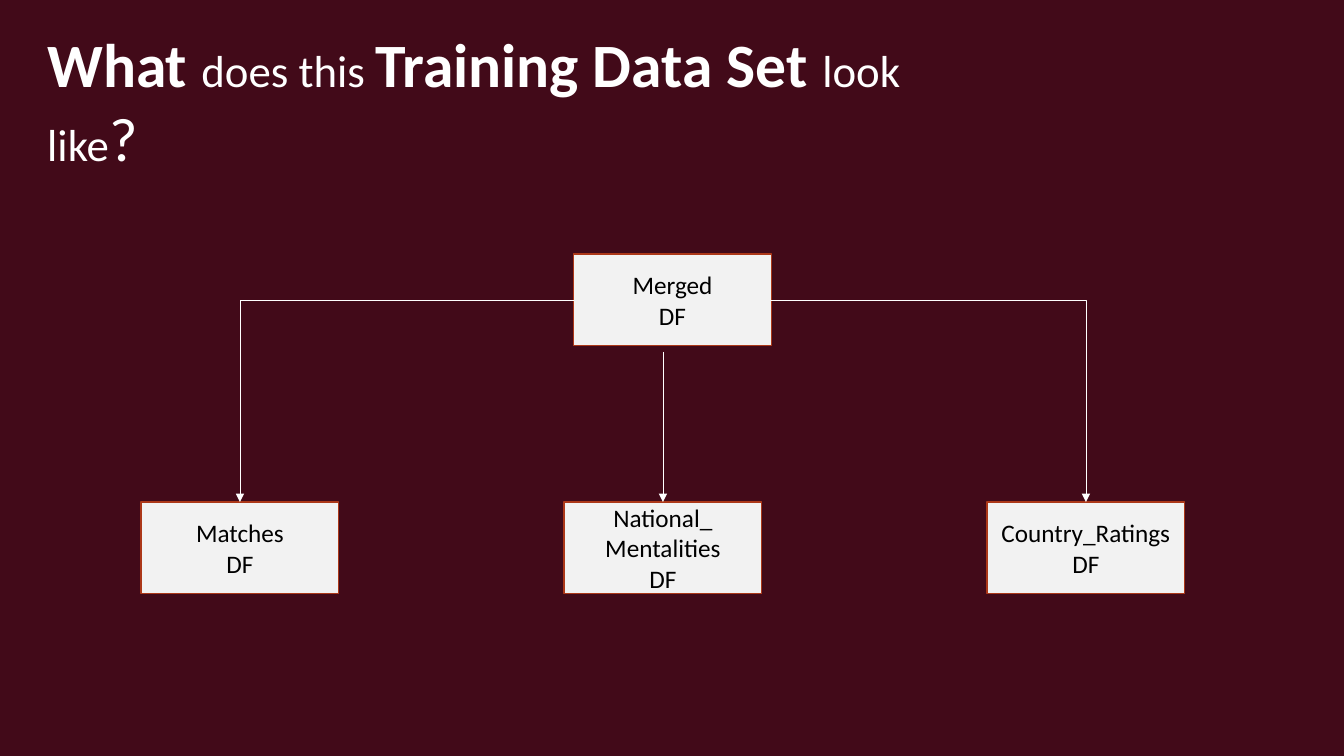
from lxml import etree
from pptx import Presentation
from pptx.dml.color import RGBColor
from pptx.enum.shapes import MSO_CONNECTOR, MSO_SHAPE
from pptx.enum.text import MSO_ANCHOR, MSO_AUTO_SIZE, PP_ALIGN
from pptx.oxml.ns import qn
from pptx.util import Inches, Pt

RECTANGLE = MSO_SHAPE.RECTANGLE
STRAIGHT, ELBOW = MSO_CONNECTOR.STRAIGHT, MSO_CONNECTOR.ELBOW
MIDDLE, CENTER = MSO_ANCHOR.MIDDLE, PP_ALIGN.CENTER
TOP_SIDE, LEFT_SIDE, RIGHT_SIDE = 0, 1, 3

FONT = "Calibri"
BACKGROUND, BOX_FILL, BOX_LINE = "420A19", "F2F2F2", "AC3819"
WHITE, BLACK = "FFFFFF", "000000"

# text, size, bold
TITLE_RUNS = [
    ("What ", 44, True),
    ("does this ", 32, False),
    ("Training Data Set ", 44, True),
    ("look like", 32, False),
    ("?", 44, False),
]
MERGED_LINES = ["Merged", "DF"]
SOURCE_FRAMES = [
    ["Matches", "DF"],
    ["National_", "Mentalities", "DF"],
    ["Country_Ratings", "DF"],
]

BOX_WIDTH, BOX_HEIGHT = 1.96, 0.91
MERGED_LEFT, MERGED_TOP = 5.69, 2.52
SOURCE_LEFT, SOURCE_TOP, SOURCE_PITCH = 1.4, 4.98, 4.195
MIDDLE_ARROW_TOP = 3.49


def color(hex_string):
    return RGBColor.from_string(hex_string)


def format_run(run, size, hex_string, bold=False):
    run.font.name = FONT
    run.font.size = Pt(size)
    run.font.bold = bold
    run.font.color.rgb = color(hex_string)


def add_box(slide, lines, left, top):
    box = slide.shapes.add_shape(
        RECTANGLE, Inches(left), Inches(top), Inches(BOX_WIDTH), Inches(BOX_HEIGHT))
    box.shadow.inherit = False
    box.fill.solid()
    box.fill.fore_color.rgb = color(BOX_FILL)
    box.line.color.rgb = color(BOX_LINE)
    box.line.width = Pt(1)
    box.text_frame.vertical_anchor = MIDDLE
    box.text_frame.text = "\n".join(lines)
    for paragraph in box.text_frame.paragraphs:
        paragraph.alignment = CENTER
        format_run(paragraph.runs[0], 18, BLACK)
    return box


def add_arrow(slide, kind, start, target):
    """Add a thin white arrow from a point to the top of the target box."""
    arrow = slide.shapes.add_connector(
        kind, Inches(start[0]), Inches(start[1]), target.left, target.top)
    arrow.end_connect(target, TOP_SIDE)
    arrow.line.color.rgb = color(WHITE)
    arrow.line.width = Pt(0.5)
    properties = arrow._element.spPr
    line = properties.find(qn("a:ln"))
    etree.SubElement(line, qn("a:tailEnd"), type="triangle")
    etree.SubElement(properties, qn("a:effectLst"))
    if kind == ELBOW:
        # A single right-angle turn
        properties.find(qn("a:prstGeom")).set("prst", "bentConnector2")
    return arrow


def add_title(slide):
    title = slide.shapes.add_textbox(
        Inches(0.37), Inches(0.21), Inches(9.61), Inches(0.84))
    title.text_frame.word_wrap = True
    title.text_frame.auto_size = MSO_AUTO_SIZE.SHAPE_TO_FIT_TEXT
    paragraph = title.text_frame.paragraphs[0]
    for text, size, bold in TITLE_RUNS:
        run = paragraph.add_run()
        run.text = text
        format_run(run, size, WHITE, bold)


def main():
    presentation = Presentation()
    presentation.slide_width = Inches(13.33)
    presentation.slide_height = Inches(7.5)
    slide = presentation.slides.add_slide(presentation.slide_layouts[6])
    slide.background.fill.solid()
    slide.background.fill.fore_color.rgb = color(BACKGROUND)

    add_title(slide)
    merged = add_box(slide, MERGED_LINES, MERGED_LEFT, MERGED_TOP)
    matches, mentalities, ratings = [
        add_box(slide, lines, SOURCE_LEFT + index * SOURCE_PITCH, SOURCE_TOP)
        for index, lines in enumerate(SOURCE_FRAMES)
    ]

    middle_x = SOURCE_LEFT + SOURCE_PITCH + BOX_WIDTH / 2
    add_arrow(slide, STRAIGHT, (middle_x, MIDDLE_ARROW_TOP), mentalities)
    merged_middle = MERGED_TOP + BOX_HEIGHT / 2
    for side, start_x, target in [
        (LEFT_SIDE, MERGED_LEFT, matches),
        (RIGHT_SIDE, MERGED_LEFT + BOX_WIDTH, ratings),
    ]:
        arrow = add_arrow(slide, ELBOW, (start_x, merged_middle), target)
        arrow.begin_connect(merged, side)

    presentation.save("out.pptx")


if __name__ == "__main__":
    main()
